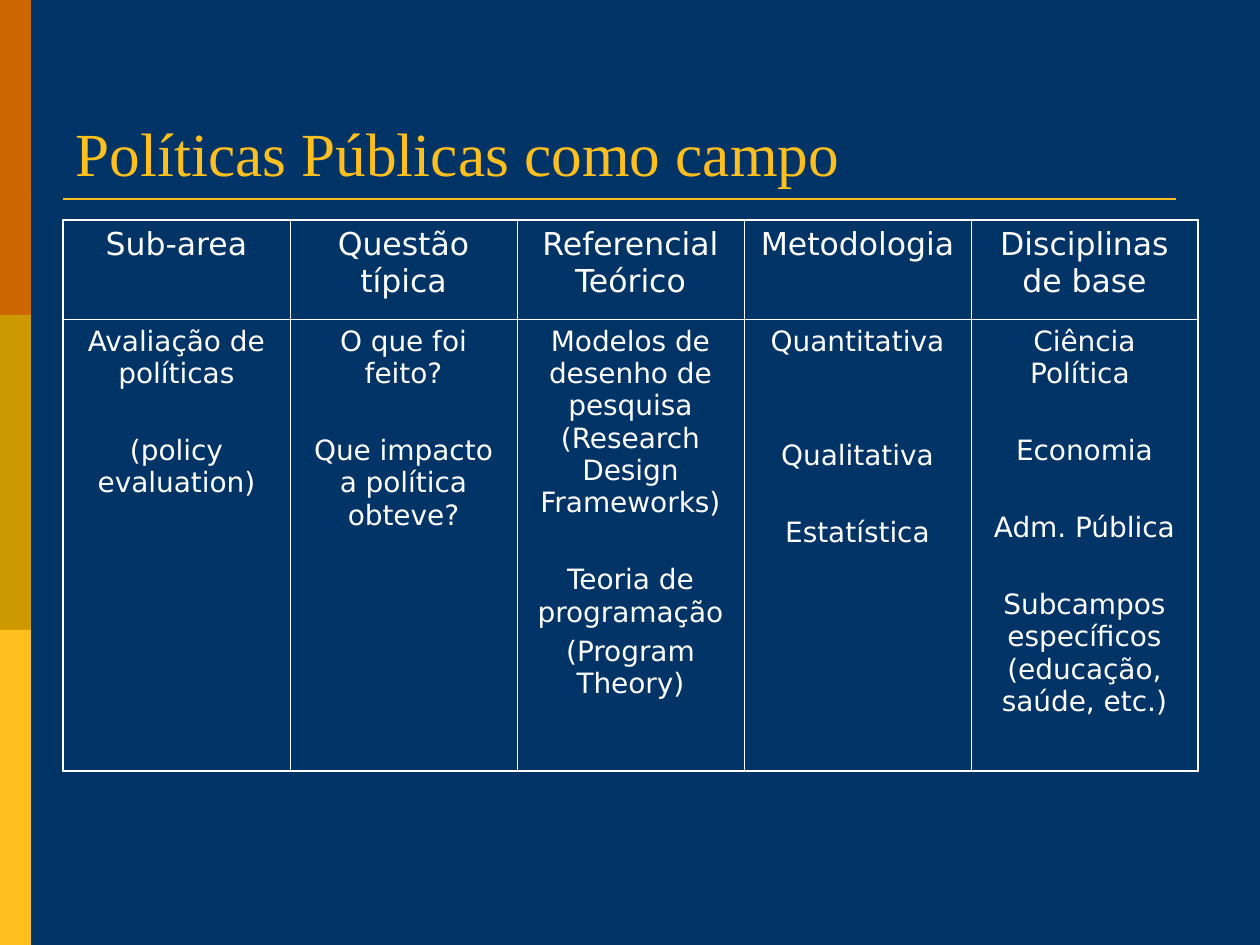
"""Build the slide on public policy as a field, with its table of one sub-area."""
import pptx
import pptx.dml.color
import pptx.enum.shapes
import pptx.enum.text
import pptx.oxml
import pptx.oxml.ns
import pptx.util

COLORS = {
    "navy": "003366",
    "rust": "CC6600",
    "olive": "CC9900",
    "amber": "FFBF1F",
    "white": "FFFFFF",
}
ALIGN = pptx.enum.text.PP_ALIGN
ANCHOR = pptx.enum.text.MSO_ANCHOR
SCALE = 914400 / 126
GAP = 25.5
WIDE_GAP = 47

HEADERS = ["Sub-area", "Questão típica", "Referencial Teórico", "Metodologia",
           "Disciplinas de base"]
DETAILS = [
    [("Avaliação de políticas", 0), ("(policy evaluation)", GAP)],
    [("O que foi feito?", 0), ("Que impacto a política obteve?", GAP)],
    [("Modelos de desenho de pesquisa (Research Design Frameworks)", 0),
     ("Teoria de programação", GAP), ("(Program Theory)", 4)],
    [("Quantitativa", 0), ("Qualitativa", WIDE_GAP), ("Estatística", GAP)],
    [("Ciência Política ", 0), ("Economia", GAP), ("Adm. Pública", GAP),
     ("Subcampos específicos (educação, saúde, etc.)", GAP)],
]


def px(n):
    return pptx.util.Emu(round(n * SCALE))


def rgb(name):
    return pptx.dml.color.RGBColor.from_string(COLORS[name])


def write(p, text, size=16, font="DejaVu Sans", color="white", align=ALIGN.LEFT, before=0):
    p.alignment = align
    if before:
        p.space_before = pptx.util.Pt(before)
    r = p.add_run()
    r.text = text
    r.font.size = pptx.util.Pt(size)
    r.font.name = font
    r.font.color.rgb = rgb(color)


class Deck:
    def __init__(self):
        self.prs = pptx.Presentation()
        self.prs.slide_width, self.prs.slide_height = px(1260), px(945)
        self.s = self.prs.slides.add_slide(self.prs.slide_layouts[6])
        fill = self.s.background.fill
        fill.solid()
        fill.fore_color.rgb = rgb("navy")

    def band(self, x, y, w, h, color):
        sp = self.s.shapes.add_shape(
            pptx.enum.shapes.MSO_SHAPE.RECTANGLE, px(x), px(y), px(w), px(h))
        sp.shadow.inherit = False
        sp.fill.solid()
        sp.fill.fore_color.rgb = rgb(color)
        sp.line.fill.background()

    def rule(self, x1, y1, x2, y2, color, width):
        line = self.s.shapes.add_connector(
            pptx.enum.shapes.MSO_CONNECTOR.STRAIGHT, px(x1), px(y1), px(x2), px(y2))
        line.line.color.rgb = rgb(color)
        line.line.width = pptx.util.Pt(width)
        line._element.spPr.append(pptx.oxml.parse_xml(
            f'<a:effectLst {pptx.oxml.ns.nsdecls("a")}/>'))

    def title(self, x, y, w, h, text):
        tf = self.s.shapes.add_textbox(px(x), px(y), px(w), px(h)).text_frame
        tf.word_wrap = True
        tf.vertical_anchor = ANCHOR.BOTTOM
        write(tf.paragraphs[0], text, size=35, font="Times New Roman", color="amber")

    def borders(self, cell, outer):
        tc_pr = cell._tc.get_or_add_tcPr()
        for side in "LRTB":
            width = pptx.util.Pt(1.08 if side in outer else 0.45)
            tc_pr.append(pptx.oxml.parse_xml(
                f'<a:ln{side} {pptx.oxml.ns.nsdecls("a")} w="{width}"><a:solidFill>'
                f'<a:srgbClr val="{COLORS["white"]}"/></a:solidFill></a:ln{side}>'))

    def table(self, x, y, col_width, heights, rows, sizes):
        n_rows, n_cols = len(rows), len(rows[0])
        table = self.s.shapes.add_table(
            n_rows, n_cols, px(x), px(y), px(col_width * n_cols), px(sum(heights))).table
        table.first_row = table.horz_banding = False
        for col in table.columns:
            col.width = px(col_width)
        for i, row in enumerate(rows):
            table.rows[i].height = px(heights[i])
            for j, items in enumerate(row):
                cell = table.cell(i, j)
                edges = {"L": j == 0, "R": j == n_cols - 1, "T": i == 0, "B": i == n_rows - 1}
                self.borders(cell, [side for side, on in edges.items() if on])
                cell.fill.background()
                tf = cell.text_frame
                for k, (text, before) in enumerate(items):
                    p = tf.add_paragraph() if k else tf.paragraphs[0]
                    write(p, text, size=sizes[i], align=ALIGN.CENTER, before=before)


def main():
    deck = Deck()
    for i, color in enumerate(["rust", "olive", "amber"]):
        deck.band(0, 315 * i, 31, 315, color)
    deck.rule(63, 199, 1176, 199, "amber", 1.5)
    deck.title(63, 38, 1134, 157, "Políticas Públicas como campo")
    headers = [[(text, 0)] for text in HEADERS]
    deck.table(63, 220, 227, [99, 452], [headers, DETAILS], [18, 16])
    deck.prs.save("out.pptx")


if __name__ == "__main__":
    main()
